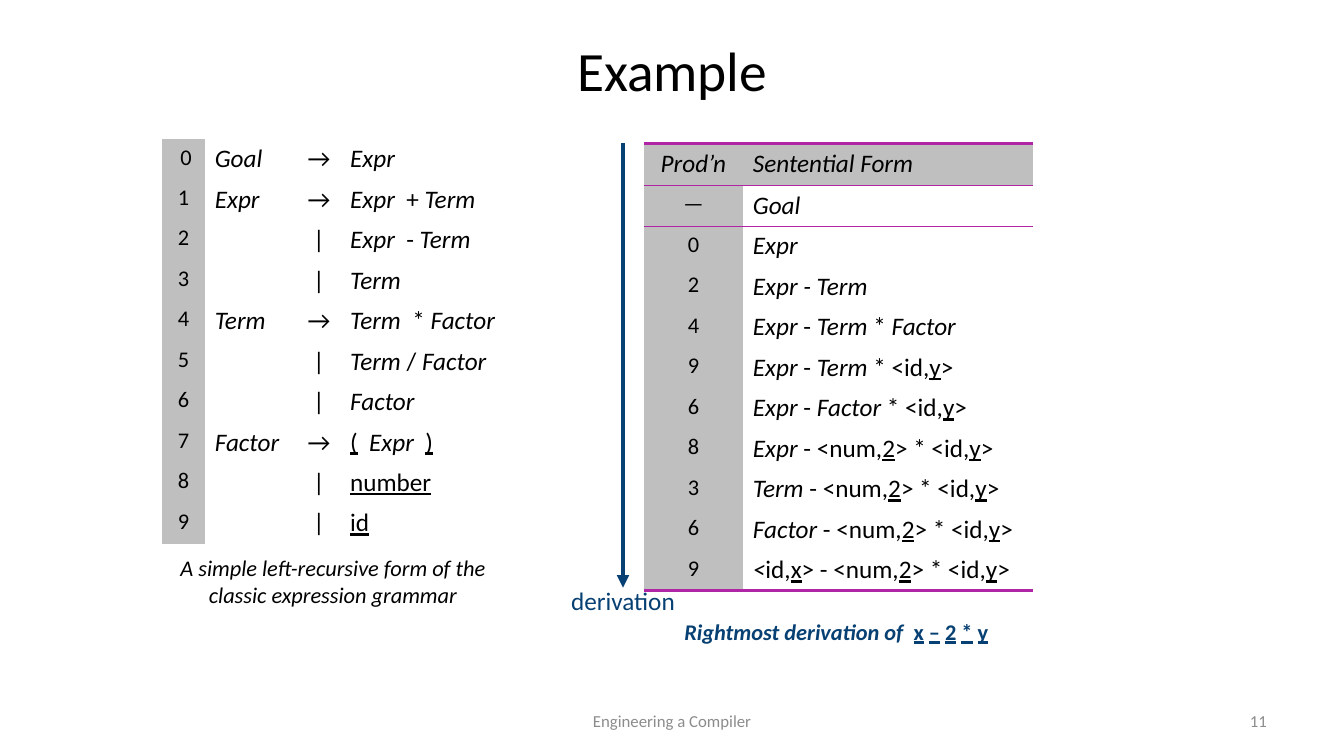
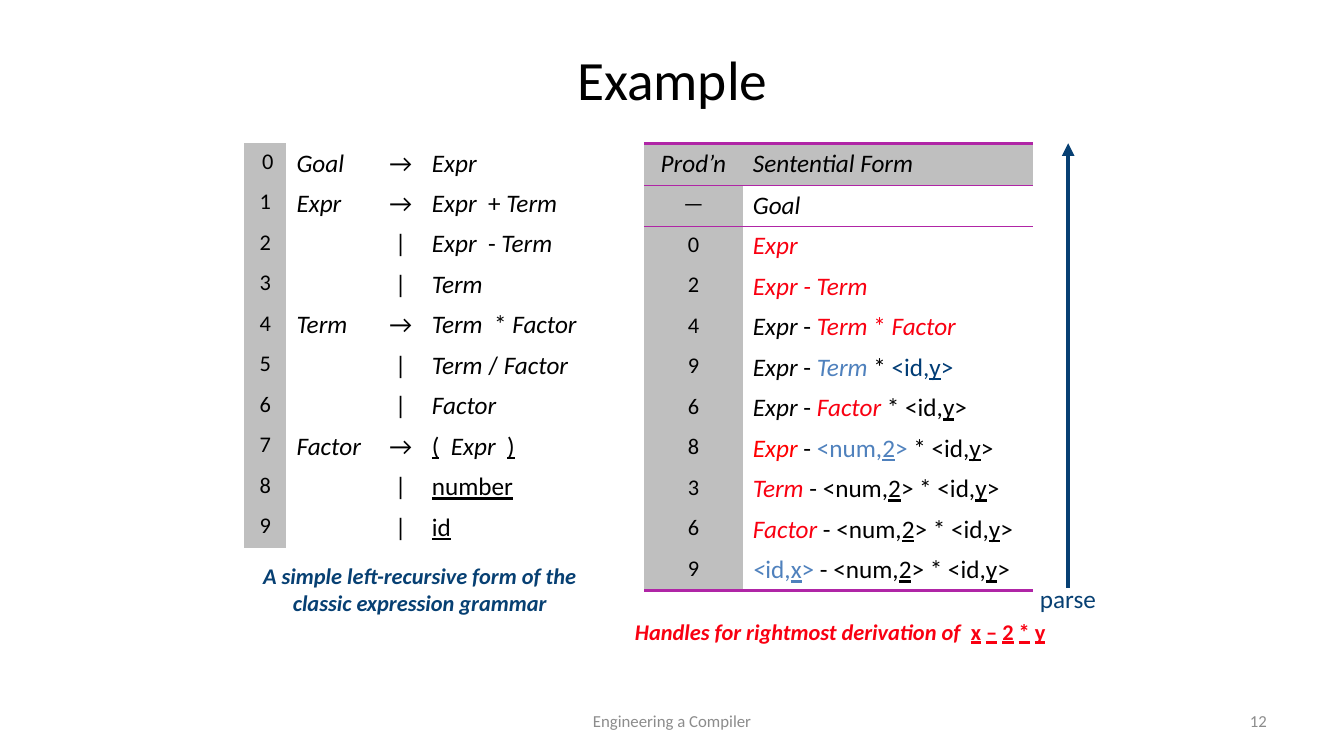
"""Two slides on a rightmost derivation and its handles in an expression grammar."""
from lxml import etree
from pptx import Presentation
from pptx.dml.color import RGBColor
from pptx.enum import shapes, text
from pptx.oxml.ns import qn
from pptx.util import Cm, Pt

FONT = "Calibri"
BLACK = RGBColor(0x00, 0x00, 0x00)
WHITE = RGBColor(0xFF, 0xFF, 0xFF)
GREY = RGBColor(0xBF, 0xBF, 0xBF)
FOOTER_GREY = RGBColor(0x8C, 0x8C, 0x8C)
NAVY = RGBColor(0x07, 0x40, 0x73)
DEEP_BLUE = RGBColor(0x00, 0x3C, 0x75)
SKY = RGBColor(0x4F, 0x81, 0xBD)
RED = RGBColor(0xF9, 0x00, 0x11)
PURE_RED = RGBColor(0xFF, 0x00, 0x00)
PURPLE = RGBColor(0xB0, 0x25, 0xA6)

LEFT, CENTER, RIGHT = text.PP_ALIGN.LEFT, text.PP_ALIGN.CENTER, text.PP_ALIGN.RIGHT
TOP, MIDDLE = text.MSO_ANCHOR.TOP, text.MSO_ANCHOR.MIDDLE
NO_STYLE = "{2D5ABB26-0587-4C30-8999-92F81FD0307C}"
ROW = Cm(1.02)
HEADER_ROW = Cm(1.07)
ARROW_TOP, ARROW_BOTTOM = Cm(3.61), Cm(14.81)

GRAMMAR = [
    (" 0", "Goal", [("Expr", "i")]),
    ("1", "Expr", [("Expr", "i"), ("  + ", ""), ("Term", "i")]),
    ("2", "", [("Expr", "i"), ("  - ", ""), ("Term", "i")]),
    ("3", "", [("Term", "i")]),
    ("4", "Term", [("Term  ", "i"), ("* ", ""), ("Factor", "i")]),
    ("5", "", [("Term", "i"), (" / ", ""), ("Factor", "i")]),
    ("6", "", [("Factor", "i")]),
    ("7", "Factor", [("(", "u"), ("  ", ""), ("Expr  ", "i"), (")", "u")]),
    ("8", "", [("number", "u")]),
    ("9", "", [("id", "u")]),
]

ID_Y = [("* <id,", ""), ("y", "u"), (">", "")]
NUM_ID_Y = [("- <num,", ""), ("2", "u"), ("> ", "")] + ID_Y
FORMS = [
    ("Prod’n", [("Sentential Form", "i")]),
    ("—", [("Goal", "i")]),
    ("0", [("Expr", "i", RED)]),
    ("2", [("Expr - Term", "i", RED)]),
    ("4", [("Expr", "i"), (" - ", ""), ("Term", "i", RED), (" * ", "", RED), ("Factor", "i", RED)]),
    ("9", [("Expr", "i"), (" - ", ""), ("Term ", "i", SKY), ("* ", ""),
           ("<id,", "", DEEP_BLUE), ("y", "u", DEEP_BLUE), (">", "", DEEP_BLUE)]),
    ("6", [("Expr", "i"), (" - ", ""), ("Factor ", "i", RED)] + ID_Y),
    ("8", [("Expr ", "i", PURE_RED), ("- ", ""), ("<num,", "", SKY), ("2", "u", SKY),
           ("> ", "", SKY)] + ID_Y),
    ("3", [("Term ", "i", RED)] + NUM_ID_Y),
    ("6", [("Factor ", "i", RED)] + NUM_ID_Y),
    ("9", [("<", "i", SKY), ("id,", "", SKY), ("x", "u", SKY), ("> ", "", SKY)] + NUM_ID_Y),
]
EXPRESSION = [("x", "bu"), (" ", "b"), ("–", "bu"), (" ", "b"), ("2", "bu"), (" ", "b"),
              ("*", "bu"), (" ", "b"), ("y", "bu")]
GRAMMAR_CAPTION = "A simple left-recursive form of the classic expression grammar"

SLIDES = [
    dict(number="11", title=(1.7, 0.76, 30.48, 1.96), grammar_at=(4.09, 3.5), handles=False,
         grammar_caption=(3.73, 13.84, 9.32, 1.63), grammar_style="i", grammar_color=BLACK,
         caption="Rightmost derivation of  ", caption_left=14.66, caption_color=NAVY,
         arrow_x=15.7, arrow=(ARROW_TOP, ARROW_BOTTOM),
         direction="derivation", direction_box=(13.06, 14.63, 5.28, 1.07)),
    dict(number="12", title=(6.15, 1.24, 21.59, 1.47), grammar_at=(6.15, 3.61), handles=True,
         grammar_caption=(5.92, 14.05, 9.32, 1.63), grammar_style="bi", grammar_color=NAVY,
         caption="Handles for rightmost derivation of  ", caption_left=14.76, caption_color=RED,
         arrow_x=26.92, arrow=(ARROW_BOTTOM, ARROW_TOP),
         direction="parse", direction_box=(25.43, 14.58, 2.97, 1.02)),
]


def write(frame, runs, size, color=BLACK, align=LEFT, highlight=True):
    """Fill the first paragraph with (words, style, colour) runs."""
    paragraph = frame.paragraphs[0]
    paragraph.alignment = align
    for words, style, *own_color in runs:
        run = paragraph.add_run()
        run.text = words
        font = run.font
        font.name, font.size = FONT, Pt(size)
        font.bold, font.italic, font.underline = "b" in style, "i" in style, "u" in style
        font.color.rgb = own_color[0] if own_color and highlight else color


def add_grid(slide, at, widths, rows):
    """Add an unstyled table and return it."""
    frame = slide.shapes.add_table(rows, len(widths), Cm(at[0]), Cm(at[1]),
                                   Cm(sum(widths)), ROW * rows)
    for style in frame.element.iter(qn("a:tableStyleId")):
        style.text = NO_STYLE
    grid = frame.table
    grid.first_row = grid.horz_banding = False
    for column, width in zip(grid.columns, widths):
        column.width = Cm(width)
    for row in grid.rows:
        row.height = ROW
        for cell in row.cells:
            cell.margin_top = cell.margin_bottom = Cm(0.12)
    return grid


prs = Presentation()
prs.slide_width, prs.slide_height = Cm(33.87), Cm(19.05)

for page in SLIDES:
    slide = prs.slides.add_slide(prs.slide_layouts[5])
    title = slide.shapes.title
    title.left, title.top, title.width, title.height = map(Cm, page["title"])
    title.text_frame.auto_size = text.MSO_AUTO_SIZE.NONE
    title.text_frame.vertical_anchor = MIDDLE
    write(title.text_frame, [("Example", "")], 39.6, align=CENTER)

    grammar = add_grid(slide, page["grammar_at"], (1.07, 2.34, 1.07, 4.85), len(GRAMMAR))
    for r, (number, symbol, production) in enumerate(GRAMMAR):
        sign = "→" if symbol else "|"
        parts = [([(number, "")], 16, CENTER), ([(symbol, "i")] if symbol else [], 18, LEFT),
                 ([(sign, "")], 18, CENTER), (production, 18, LEFT)]
        for c, (runs, size, align) in enumerate(parts):
            cell = grammar.cell(r, c)
            write(cell.text_frame, runs, size, align=align)
            if c == 0:
                cell.fill.solid()
                cell.fill.fore_color.rgb = GREY
            else:
                cell.fill.background()

    steps = add_grid(slide, (16.23, 3.61), (2.49, 7.32), len(FORMS))
    steps.rows[0].height = HEADER_ROW
    last = len(FORMS) - 1
    rules = {0: [("a:lnB", 1), ("a:lnT", 2.25)], 1: [("a:lnT", 1)], last: [("a:lnB", 2.25)]}
    for r, (production, form) in enumerate(FORMS):
        header = r == 0
        write(steps.cell(r, 0).text_frame, [(production, "i" if header else "")],
              18 if header else 16, align=CENTER)
        write(steps.cell(r, 1).text_frame, form, 18, highlight=page["handles"])
        for c in range(2):
            cell = steps.cell(r, c)
            cell.fill.solid()
            cell.fill.fore_color.rgb = GREY if header or c == 0 else WHITE
            for side, weight in rules.get(r, []):
                edge = etree.Element(qn(side), w=str(Pt(weight)))
                paint = etree.SubElement(edge, qn("a:solidFill"))
                etree.SubElement(paint, qn("a:srgbClr"), val=str(PURPLE))
                cell.fill._xPr.insert(0, edge)

    start, end = page["arrow"]
    arrow = slide.shapes.add_connector(shapes.MSO_CONNECTOR.STRAIGHT, Cm(page["arrow_x"]), start,
                                       Cm(page["arrow_x"]), end)
    arrow.line.color.rgb = NAVY
    arrow.line.width = Pt(3)
    etree.SubElement(arrow.line._get_or_add_ln(), qn("a:tailEnd"), type="triangle")
    etree.SubElement(arrow.element.spPr, qn("a:effectLst"))

    labels = [
        (page["grammar_caption"], [(GRAMMAR_CAPTION, page["grammar_style"])], 16,
         page["grammar_color"], CENTER, TOP),
        ((page["caption_left"], 15.44, 12.83, 0.94), [(page["caption"], "bi")] + EXPRESSION, 16,
         page["caption_color"], CENTER, TOP),
        (page["direction_box"], [(page["direction"], "")], 18, NAVY, CENTER, TOP),
        ((11.58, 17.65, 10.72, 1.02), [("Engineering a Compiler", "")], 12, FOOTER_GREY,
         CENTER, MIDDLE),
        ((24.28, 17.65, 7.9, 1.02), [(page["number"], "")], 12, FOOTER_GREY, RIGHT, MIDDLE),
    ]
    for box, runs, size, color, align, anchor in labels:
        label = slide.shapes.add_textbox(*map(Cm, box)).text_frame
        label.word_wrap = True
        label.vertical_anchor = anchor
        write(label, runs, size, color, align)

prs.save("out.pptx")
